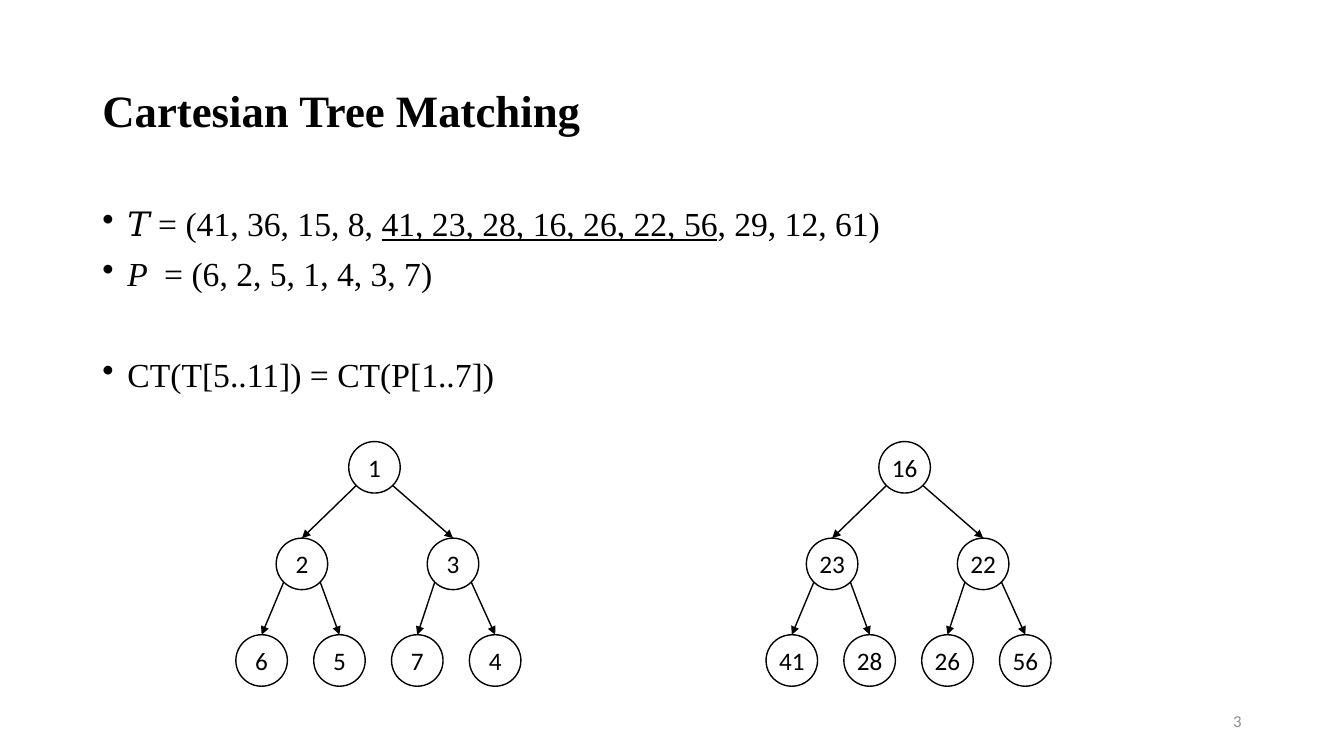
from lxml.etree import SubElement
from pptx import Presentation
from pptx.dml.color import RGBColor
from pptx.enum.shapes import MSO_CONNECTOR as Link, MSO_SHAPE as Shape
from pptx.enum.text import MSO_ANCHOR as Anchor, PP_ALIGN as Align
from pptx.oxml.ns import qn
from pptx.util import Pt

BLACK = RGBColor(0, 0, 0)
GRAY = RGBColor(0x8C, 0x8C, 0x8C)
SERIF, SANS = "Times New Roman", "Calibri"

TITLE = "Cartesian Tree Matching"
PAGE = "3"
# Space before in points, then runs of (text, italic, underline)
BULLETS = [
    (0, [("𝑇 = (41, 36, 15, 8, ", False, False),
         ("41, 23, 28, 16, 26, 22, 56", False, True),
         (", 29, 12, 61)", False, False)]),
    (10, [("P  ", True, False), ("= (6, 2, 5, 1, 4, 3, 7)", False, False)]),
    (46, [("CT(T[5..11]) = CT(P[1..7])", False, False)]),
]
# Left edge of each tree, then its keys level by level
TREES = [
    (168.5, ["1", "2", "3", "6", "5", "7", "4"]),
    (547.2, ["16", "23", "22", "41", "28", "26", "56"]),
]

SIZE = 36.8    # node diameter
STEP = 55.6    # between leaves
TOP, DROP = 315.4, 69
SPOTS = [(80.6, 0), (28.8, 1), (136.7, 1)] + [(i * STEP, 2) for i in range(4)]
RIM = SIZE / 2 * 0.71    # offset of the lower diagonal points of a circle


def style(para, size, name=SERIF, color=BLACK, bold=False):
    font = para.font
    font.size, font.name, font.bold = Pt(size), name, bold
    font.color.rgb = color


def add_box(slide, x, y, w, h, anchor=Anchor.TOP):
    box = slide.shapes.add_textbox(Pt(x), Pt(y), Pt(w), Pt(h))
    frame = box.text_frame
    frame.word_wrap = True
    frame.vertical_anchor = anchor
    return frame


def add_bullets(slide):
    frame = add_box(slide, 66, 144.7, 850, 350)
    for i, (gap, runs) in enumerate(BULLETS):
        para = frame.add_paragraph() if i else frame.paragraphs[0]
        para.line_spacing = 0.9
        para.space_before = Pt(gap)
        props = para._p.get_or_add_pPr()
        props.set("marL", str(Pt(18)))
        props.set("indent", str(Pt(-18)))
        SubElement(props, qn("a:buChar")).set("char", "•")
        style(para, 24)
        for text, italic, under in runs:
            run = para.add_run()
            run.text = text
            run.font.italic, run.font.underline = italic, under


def add_node(slide, x, y, key):
    node = slide.shapes.add_shape(Shape.OVAL, Pt(x), Pt(y), Pt(SIZE), Pt(SIZE))
    node.shadow.inherit = False
    node.fill.background()
    node.line.color.rgb = BLACK
    node.line.width = Pt(1)
    frame = node.text_frame
    frame.word_wrap = False
    frame.margin_left = frame.margin_right = 0
    frame.margin_top = frame.margin_bottom = 0
    frame.vertical_anchor = Anchor.MIDDLE
    para = frame.paragraphs[0]
    para.text = key
    para.alignment = Align.CENTER
    style(para, 18, SANS)


def add_arrow(slide, *ends):
    arrow = slide.shapes.add_connector(Link.STRAIGHT, *map(Pt, ends))
    arrow.line.color.rgb = BLACK
    arrow.line.width = Pt(1)
    tail = SubElement(arrow.line._get_or_add_ln(), qn("a:tailEnd"))
    tail.set("type", "triangle")
    SubElement(arrow._element.spPr, qn("a:effectLst"))


def add_tree(slide, left, keys):
    """Draw a full binary tree; node i hangs below node (i - 1) // 2."""
    spots = [(left + x, TOP + level * DROP) for x, level in SPOTS]
    half = SIZE / 2
    for i, ((x, y), key) in enumerate(zip(spots, keys)):
        add_node(slide, x, y, key)
        if i:
            px, py = spots[(i - 1) // 2]
            side = -RIM if i % 2 else RIM
            add_arrow(slide, px + half + side, py + half + RIM, x + half, y)


def main():
    deck = Presentation()
    deck.slide_width, deck.slide_height = Pt(960), Pt(540)
    slide = deck.slides.add_slide(deck.slide_layouts[6])

    title = add_box(slide, 66, 28.8, 828, 104.4, Anchor.MIDDLE).paragraphs[0]
    title.text = TITLE
    title.line_spacing = 0.9
    style(title, 32, bold=True)

    add_bullets(slide)
    for left, keys in TREES:
        add_tree(slide, left, keys)

    page = add_box(slide, 678, 500.5, 216, 28.8, Anchor.MIDDLE).paragraphs[0]
    page.text = PAGE
    page.alignment = Align.RIGHT
    style(page, 12, SANS, GRAY)

    deck.save("out.pptx")


if __name__ == "__main__":
    main()
